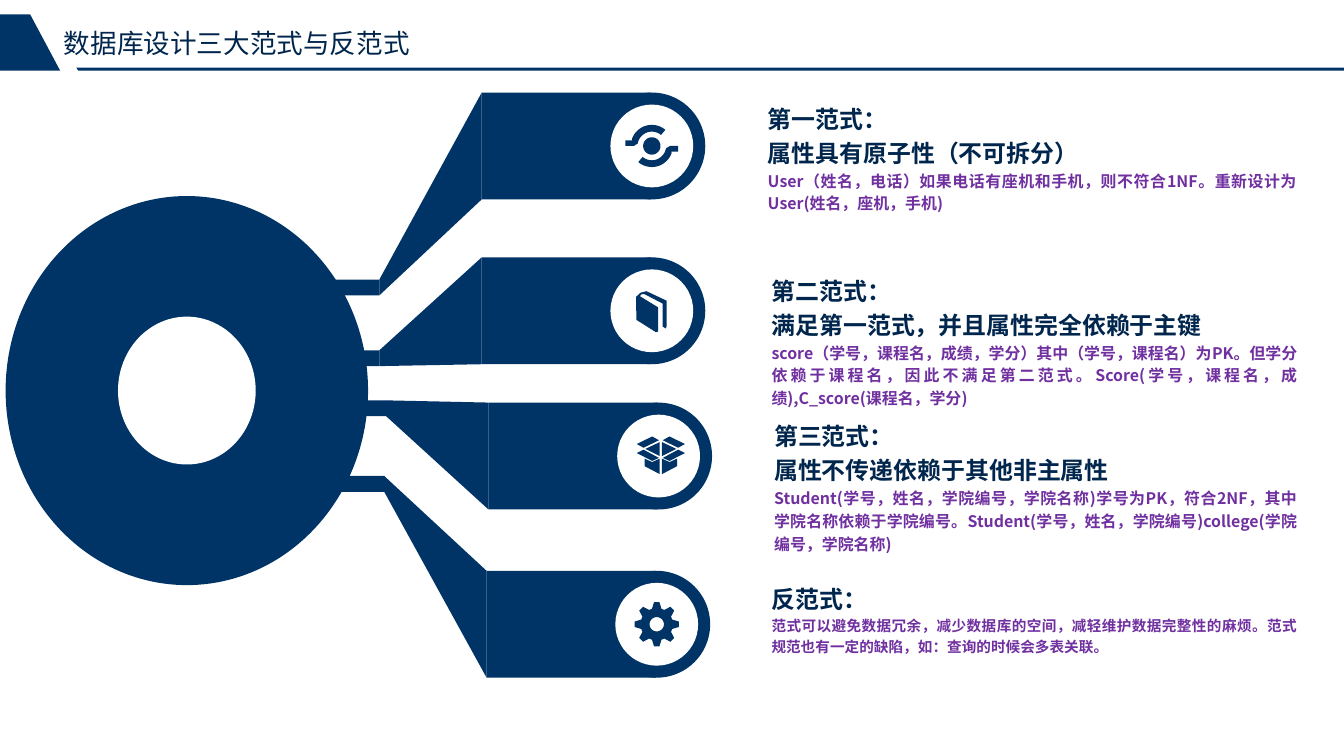
from dataclasses import dataclass
from math import cos, radians, sin

from pptx import Presentation
from pptx.dml.color import RGBColor as RGB
from pptx.enum.shapes import MSO_SHAPE as SHAPE
from pptx.enum.text import MSO_ANCHOR as ANCHOR
from pptx.enum.text import MSO_AUTO_SIZE as FIT
from pptx.enum.text import PP_ALIGN as ALIGN
from pptx.oxml.xmlchemy import OxmlElement
from pptx.util import Cm, Pt


@dataclass(frozen=True)
class Theme:
    navy: RGB = RGB(0x00, 0x33, 0x66)
    ink: RGB = RGB(0x00, 0x26, 0x4D)
    purple: RGB = RGB(0x70, 0x30, 0xA0)
    white: RGB = RGB(0xFF, 0xFF, 0xFF)
    title_font: str = "Arial"
    body_font: str = "Noto Sans CJK JP"
    title_size: int = 20
    heading_size: int = 18
    body_size: int = 12
    small_size: int = 11


THEME = Theme()
WIDTH, HEIGHT = 35.71, 20.09

NOTES = [
    ((20.4, 2.62, 14.05, 3.07), ["第一范式：", "属性具有原子性（不可拆分）"],
     "User（姓名，电话）如果电话有座机和手机，则不符合1NF。重新设计为User(姓名，座机，手机)",
     THEME.body_size),
    ((20.5, 7.19, 13.97, 3.68), ["第二范式：", "满足第一范式，并且属性完全依赖于主键"],
     "score（学号，课程名，成绩，学分）其中（学号，课程名）为PK。但学分依赖于课程名，"
     "因此不满足第二范式。Score(学号，课程名，成绩),C_score(课程名，学分)",
     THEME.body_size),
    ((20.57, 11.05, 13.89, 3.68), ["第三范式：", "属性不传递依赖于其他非主属性"],
     "Student(学号，姓名，学院编号，学院名称)学号为PK，符合2NF，其中学院名称依赖于学院编号。"
     "Student(学号，姓名，学院编号)college(学院编号，学院名称)",
     THEME.body_size),
    ((20.5, 15.39, 13.97, 2.06), ["反范式："],
     "范式可以避免数据冗余，减少数据库的空间，减轻维护数据完整性的麻烦。"
     "范式规范也有一定的缺陷，如：查询的时候会多表关联。",
     THEME.small_size),
]


def paint(sp, color):
    sp.shadow.inherit = False
    sp.fill.solid()
    sp.fill.fore_color.rgb = color
    sp.line.fill.background()


def add_preset(shapes, kind, x, y, w, h, color=THEME.navy):
    sp = shapes.add_shape(kind, Cm(x), Cm(y), Cm(w), Cm(h))
    paint(sp, color)


def add_outline(shapes, contours, x=0, y=0):
    placed = [[(Cm(x + px), Cm(y + py)) for px, py in c] for c in contours]
    builder = shapes.build_freeform(*placed[0][0])
    for i, points in enumerate(placed):
        if i:
            builder.move_to(*points[0])
        builder.add_line_segments(points[1:], close=True)
    paint(builder.convert_to_shape(), THEME.navy)


def write(p, text, size, color, font, bold=False, align=ALIGN.LEFT, spacing=1.0):
    p.alignment = align
    p.line_spacing = spacing
    p.space_before = p.space_after = Pt(0)
    r = p.add_run()
    r.text = text
    r.font.size = Pt(size)
    r.font.bold = bold
    r.font.color.rgb = color
    r.font.name = font
    rpr = r._r.get_or_add_rPr()
    rpr.set("lang", "zh-CN")
    ea = OxmlElement("a:ea")
    ea.set("typeface", font)
    rpr.append(ea)


def set_frame(tf, anchor):
    tf.word_wrap = True
    tf.auto_size = FIT.NONE
    tf.vertical_anchor = anchor
    tf.margin_left = tf.margin_right = tf.margin_top = tf.margin_bottom = 0


def arc(radius, start, end, step=5):
    turn = step if end > start else -step
    return [(radius * cos(radians(a)), radius * sin(radians(a)))
            for a in range(start, end + turn, turn)]


def orbit_icon():
    swoosh = [(0.48, 0), (0.7, 0), (0.7, 0.15), (0.52, 0.15),
              *arc(0.56, 20, 130), *arc(0.38, 130, 10)]
    return [swoosh, [(-x, -y) for x, y in swoosh], arc(0.23, 0, 355)]


def book_icon():
    return [[(0.39, -0.27), (-0.14, -0.52), (-0.3, -0.48), (-0.42, -0.37),
             (-0.41, 0.24), (0.11, 0.57), (0.17, 0.55), (0.17, -0.09),
             (-0.32, -0.39), (-0.27, -0.44), (-0.19, -0.44), (0.29, -0.19),
             (0.29, 0.42), (0.37, 0.47), (0.39, 0.42)]]


def box_icon():
    half = [
        [(0.03, -0.37), (0.03, 0), (0.41, -0.19)],
        [(0.05, 0.05), (0.23, 0.13), (0.64, -0.08), (0.46, -0.17)],
        [(0.05, -0.42), (0.23, -0.52), (0.64, -0.32), (0.46, -0.22)],
        [(0.03, 0.07), (0.03, 0.48), (0.43, 0.27), (0.43, 0.07), (0.23, 0.16)],
    ]
    return [[(0.06 + side * x, y) for x, y in c] for side in (1, -1) for c in half]


def gear_icon():
    tooth = [(-17, 0.43), (-7, 0.59), (7, 0.59), (17, 0.43)]
    rim = [(r * cos(radians(a + turn)), r * sin(radians(a + turn)))
           for turn in range(0, 360, 45) for a, r in tooth]
    return [rim, arc(0.19, 360, 5)]


ARMS = [
    (6.68, 2.46, 7.43, orbit_icon),
    (6.68, 6.84, 9.31, book_icon),
    (6.86, 10.7, 10.64, box_icon),
    (6.81, 15.17, 12.65, gear_icon),
]


def add_header(slide, x, y, w):
    add_outline(slide.shapes, [[(2.03, 1.42), (w, 1.42), (w, 1.5), (2.08, 1.5)]], x, y)
    add_outline(slide.shapes, [[(0, 0), (0.8, 0), (1.6, 1.5), (0, 1.5)]], x, y)
    title = slide.shapes.title
    title.left, title.top = Cm(x + 1.7), Cm(y + 0.33)
    title.width, title.height = Cm(9.96), Cm(0.86)
    set_frame(title.text_frame, ANCHOR.MIDDLE)
    write(title.text_frame.paragraphs[0], "数据库设计三大范式与反范式",
          THEME.title_size, THEME.ink, THEME.title_font)


def add_arm(shapes, x, y, stem_y, icon):
    bend, bar, cap, size, stem = x + 3.4, x + 6.12, x + 9.22, 2.84, 0.42
    ring, disc = 0.32, 2.2
    add_preset(shapes, SHAPE.RECTANGLE, bar, y, 4.5, size)
    add_preset(shapes, SHAPE.RECTANGLE, x, stem_y, bend - x, stem)
    add_outline(shapes, [[(bend, stem_y), (bar, y),
                          (bar, y + size), (bend, stem_y + stem)]])
    add_preset(shapes, SHAPE.OVAL, cap, y, size, size)
    add_preset(shapes, SHAPE.OVAL, cap + ring, y + ring, disc, disc, THEME.white)
    add_outline(shapes, icon(), cap + size / 2, y + size / 2)


def add_hub(shapes, x, y, w, h):
    hole_w, hole_h = 0.38 * w, 0.38 * h
    add_preset(shapes, SHAPE.OVAL, x, y, w, h)
    add_preset(shapes, SHAPE.OVAL, x + (w - hole_w) / 2, y + (h - hole_h) / 2,
               hole_w, hole_h, THEME.white)


def add_note(shapes, box, headings, body, size):
    tf = shapes.add_textbox(*map(Cm, box)).text_frame
    set_frame(tf, ANCHOR.TOP)
    lines = [(h, THEME.heading_size, THEME.ink) for h in headings]
    lines.append((body, size, THEME.purple))
    for i, (text, points, color) in enumerate(lines):
        p = tf.add_paragraph() if i else tf.paragraphs[0]
        write(p, text, points, color, THEME.body_font, bold=True,
              align=ALIGN.JUSTIFY, spacing=1.2)


def main():
    prs = Presentation()
    prs.slide_width, prs.slide_height = Cm(WIDTH), Cm(HEIGHT)
    s = prs.slides.add_slide(prs.slide_layouts[5])
    add_header(s, 0, 0.38, WIDTH)
    for arm in ARMS:
        add_arm(s.shapes, *arm)
    add_hub(s.shapes, 0.15, 5.21, 9.63, 10.34)
    for note in NOTES:
        add_note(s.shapes, *note)
    prs.save("out.pptx")


if __name__ == "__main__":
    main()
